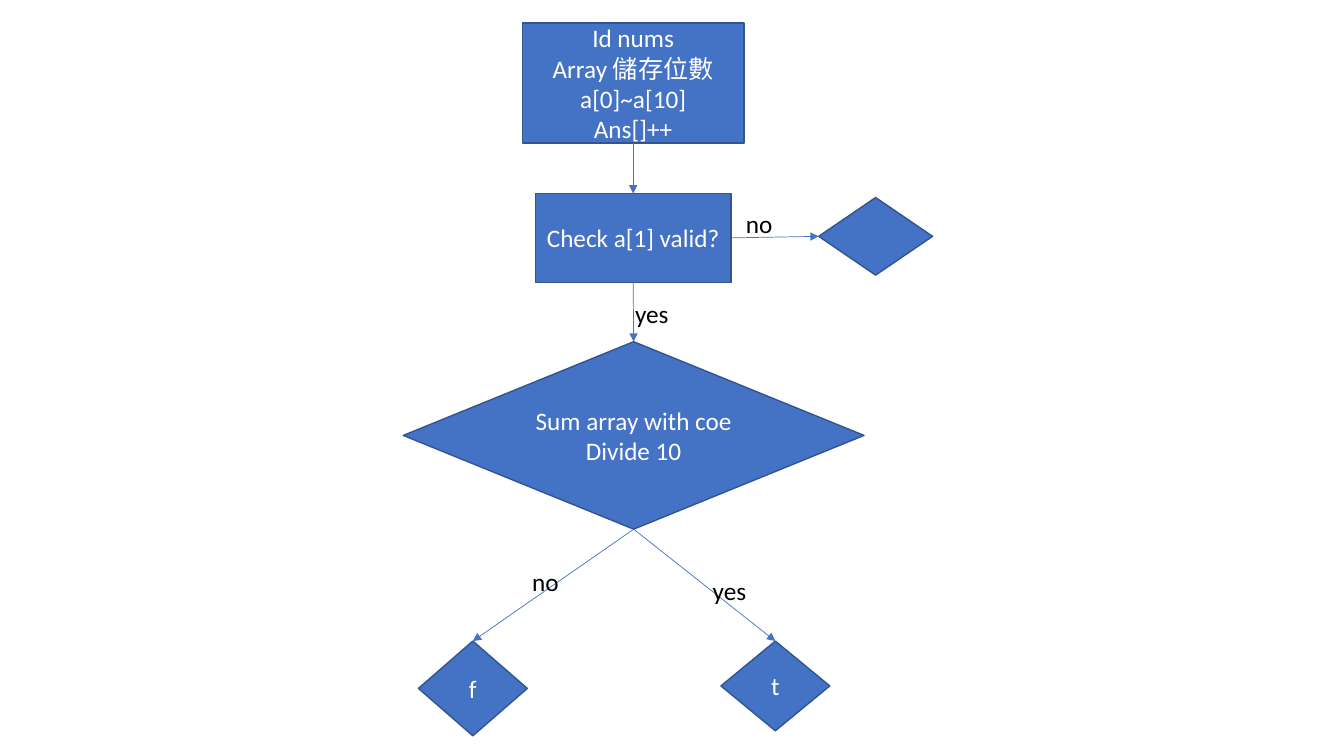
from dataclasses import dataclass

from lxml import etree
from pptx import Presentation
from pptx.dml.color import RGBColor
from pptx.enum import shapes, text
from pptx.oxml.ns import qn
from pptx.shapes.autoshape import Shape
from pptx.slide import Slide
from pptx.util import Inches, Pt

PROCESS = shapes.MSO_SHAPE.FLOWCHART_PROCESS
DECISION = shapes.MSO_SHAPE.FLOWCHART_DECISION
TOP, LEFT, BOTTOM, RIGHT = range(4)  # connection sites of a flowchart shape
SITE_OFFSETS = ((0.5, 0), (0, 0.5), (0.5, 1), (1, 0.5))


@dataclass(frozen=True)
class Theme:
    font: str = "Calibri"
    size: Pt = Pt(18)
    fill: RGBColor = RGBColor(0x44, 0x72, 0xC4)
    outline: RGBColor = RGBColor(0x32, 0x54, 0x91)
    on_fill: RGBColor = RGBColor(0xFF, 0xFF, 0xFF)
    label: RGBColor = RGBColor(0, 0, 0)
    outline_width: Pt = Pt(1)
    arrow_width: Pt = Pt(0.5)


@dataclass(frozen=True)
class Node:
    key: str
    kind: shapes.MSO_SHAPE
    left: float
    top: float
    width: float
    height: float
    lines: tuple[str, ...] = ()


@dataclass(frozen=True)
class Arrow:
    source: str
    source_site: int
    target: str
    target_site: int


@dataclass(frozen=True)
class Label:
    caption: str
    left: float
    top: float
    width: float


THEME = Theme()

NODES = (
    Node("input", PROCESS, 5.18, 0.23, 2.2, 1.19,
         ("Id nums", "Array 儲存位數a[0]~a[10]", "Ans[]++")),
    Node("check", PROCESS, 5.31, 1.92, 1.94, 0.88, ("Check a[1] valid?",)),
    Node("invalid", DECISION, 8.12, 1.96, 1.13, 0.77),
    Node("sum", DECISION, 4, 3.39, 4.57, 1.86,
         ("Sum array with coe", "Divide 10")),
    Node("false", DECISION, 4.15, 6.36, 1.08, 0.94, ("f",)),
    Node("true", DECISION, 7.15, 6.36, 1.08, 0.89, ("t",)),
)

ARROWS = (
    Arrow("input", BOTTOM, "check", TOP),
    Arrow("check", RIGHT, "invalid", LEFT),
    Arrow("check", BOTTOM, "sum", TOP),
    Arrow("sum", BOTTOM, "false", TOP),
    Arrow("sum", BOTTOM, "true", TOP),
)

LABELS = (
    Label("no", 7.3, 2.02, 0.58),
    Label("yes", 6.2, 2.91, 0.94),
    Label("no", 5.18, 5.57, 0.67),
    Label("yes", 6.97, 5.66, 0.65),
)


def write_lines(sp: Shape, lines: tuple[str, ...], color: RGBColor,
                align: text.PP_ALIGN) -> None:
    tf = sp.text_frame
    tf.word_wrap = True
    for i, line in enumerate(lines):
        p = tf.add_paragraph() if i else tf.paragraphs[0]
        p.alignment = align
        r = p.add_run()
        r.text = line
        r.font.name = THEME.font
        r.font.size = THEME.size
        r.font.color.rgb = color


def add_node(s: Slide, node: Node) -> Shape:
    sp = s.shapes.add_shape(node.kind, Inches(node.left), Inches(node.top),
                            Inches(node.width), Inches(node.height))
    sp.shadow.inherit = False
    sp.fill.solid()
    sp.fill.fore_color.rgb = THEME.fill
    sp.line.color.rgb = THEME.outline
    sp.line.width = THEME.outline_width
    if node.lines:
        sp.text_frame.vertical_anchor = text.MSO_ANCHOR.MIDDLE
        write_lines(sp, node.lines, THEME.on_fill, text.PP_ALIGN.CENTER)
    return sp


def site_point(sp: Shape, site: int) -> tuple[int, int]:
    across, down = SITE_OFFSETS[site]
    return int(sp.left + across * sp.width), int(sp.top + down * sp.height)


def add_arrow(s: Slide, arrow: Arrow, drawn: dict[str, Shape]) -> None:
    """Glue a straight arrow to the connection sites of two nodes."""
    source, target = drawn[arrow.source], drawn[arrow.target]
    line = s.shapes.add_connector(shapes.MSO_CONNECTOR.STRAIGHT,
                                  *site_point(source, arrow.source_site),
                                  *site_point(target, arrow.target_site))
    line.begin_connect(source, arrow.source_site)
    line.end_connect(target, arrow.target_site)
    line.line.color.rgb = THEME.fill
    line.line.width = THEME.arrow_width
    ln = line._element.spPr.find(qn("a:ln"))
    etree.SubElement(ln, qn("a:tailEnd"), type="triangle")
    etree.SubElement(line._element.spPr, qn("a:effectLst"))


def add_label(s: Slide, label: Label) -> None:
    sp = s.shapes.add_textbox(Inches(label.left), Inches(label.top),
                              Inches(label.width), Inches(0.4))
    write_lines(sp, (label.caption,), THEME.label, text.PP_ALIGN.LEFT)
    sp.text_frame.auto_size = text.MSO_AUTO_SIZE.SHAPE_TO_FIT_TEXT


def main() -> None:
    prs = Presentation()
    prs.slide_width, prs.slide_height = Inches(13.33), Inches(7.5)
    s = prs.slides.add_slide(prs.slide_layouts.get_by_name("Blank"))
    drawn = {node.key: add_node(s, node) for node in NODES}
    for arrow in ARROWS:
        add_arrow(s, arrow, drawn)
    for label in LABELS:
        add_label(s, label)
    prs.save("out.pptx")


if __name__ == "__main__":
    main()
